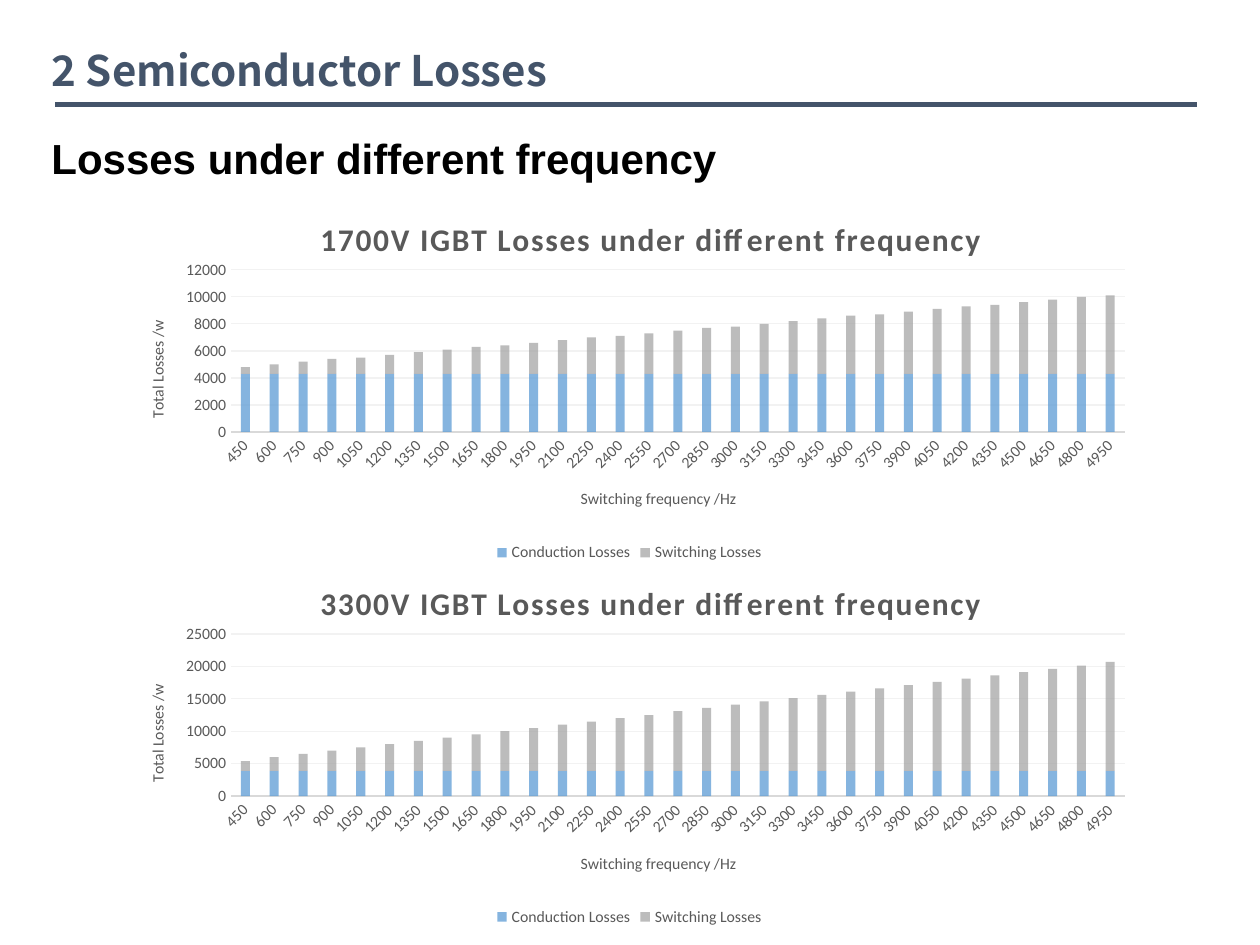
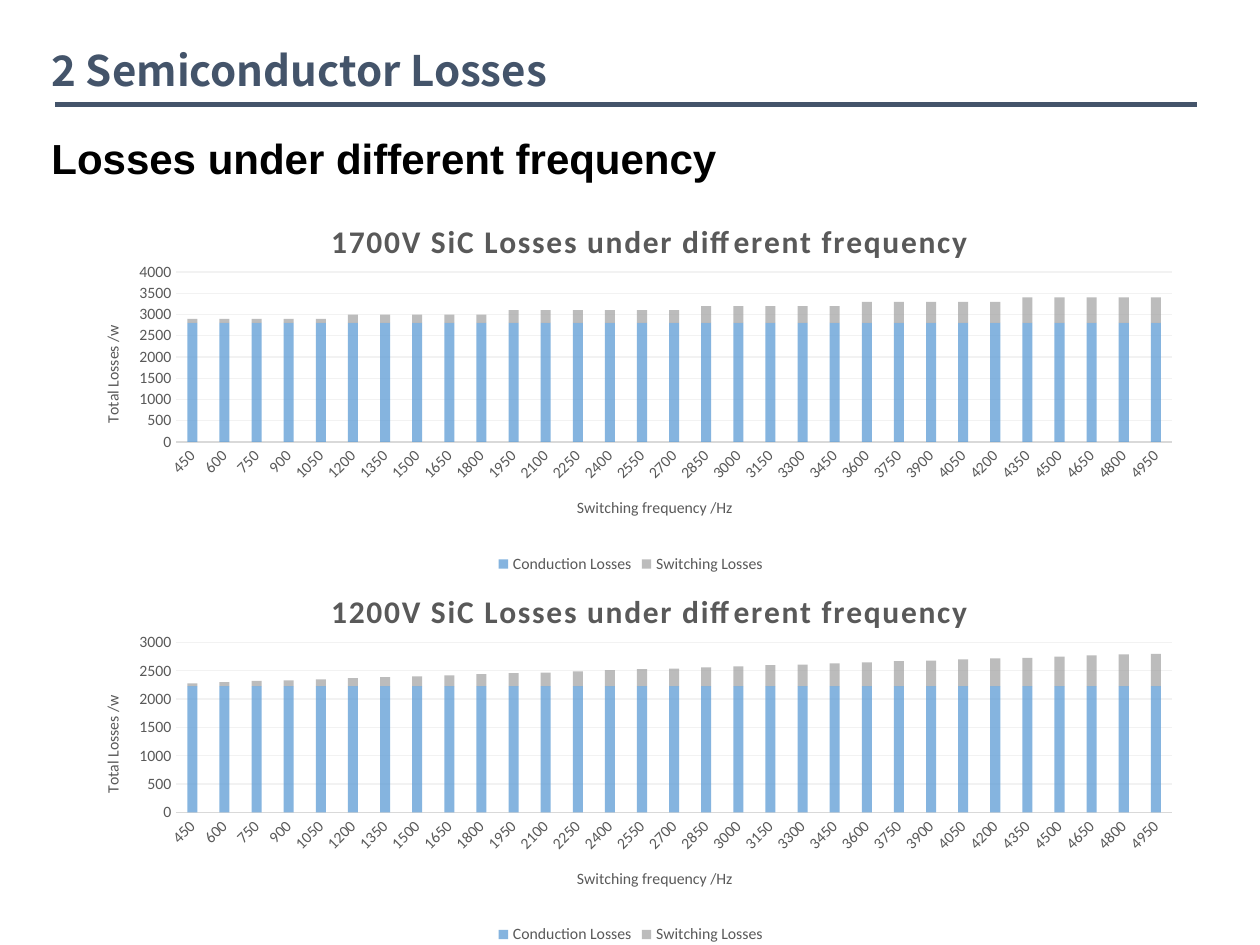
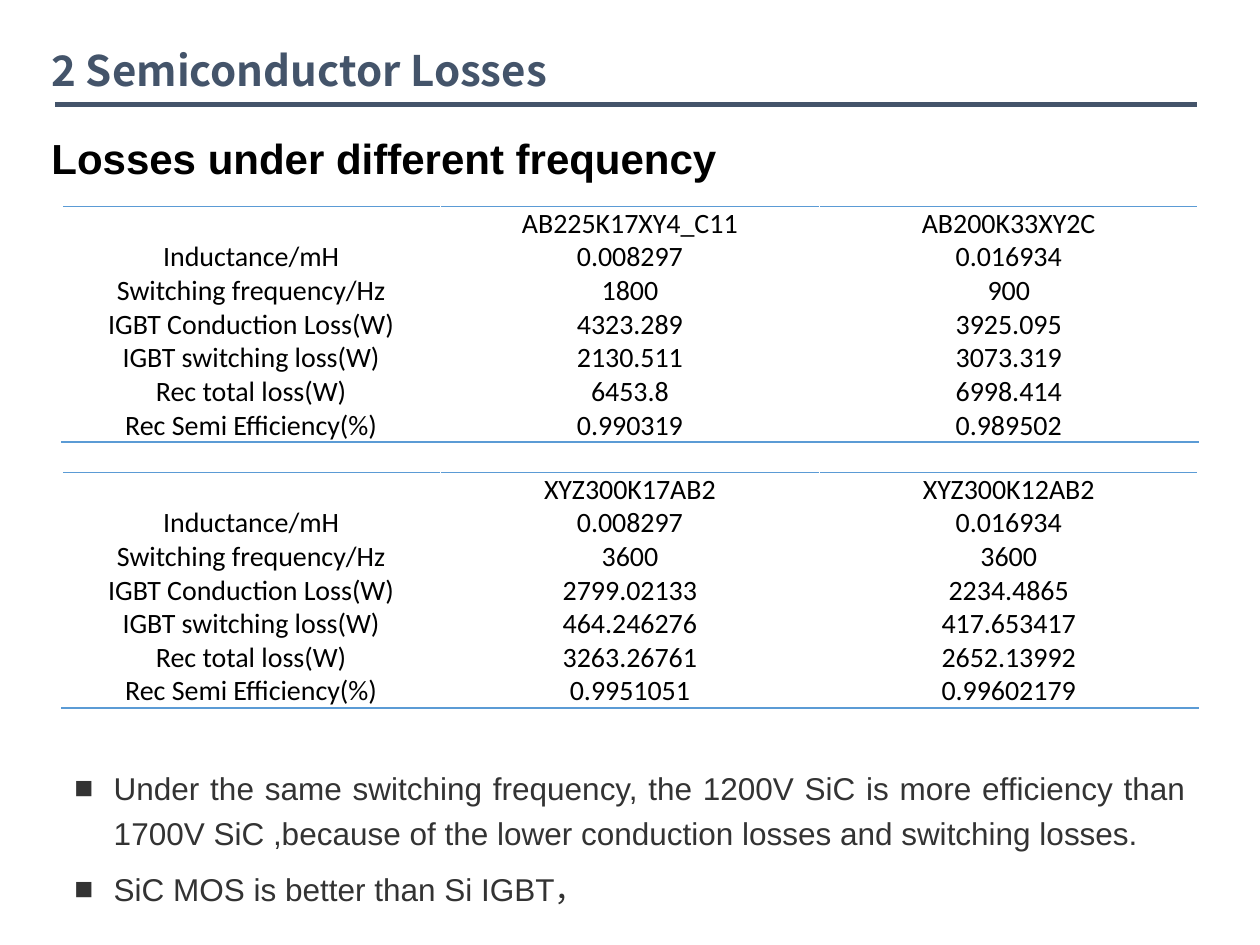
import pptx
import pptx.chart.data
import pptx.dml.color
import pptx.enum.chart
import pptx.enum.shapes
import pptx.enum.text
import pptx.oxml
import pptx.oxml.ns
import pptx.util
from lxml import etree

Pt = pptx.util.Pt
RGBColor = pptx.dml.color.RGBColor
qn = pptx.oxml.ns.qn
ALIGN = pptx.enum.text.PP_ALIGN
ANCHOR = pptx.enum.text.MSO_ANCHOR

NAVY = RGBColor(0x44, 0x54, 0x6A)
BLACK = RGBColor(0, 0, 0)
DARK_GRAY = RGBColor(0x33, 0x33, 0x33)
CHART_TEXT = RGBColor(0x59, 0x59, 0x59)
AXIS_GRAY = RGBColor(0xD9, 0xD9, 0xD9)
GRID_GRAY = RGBColor(0xF2, 0xF2, 0xF2)
BLUE = RGBColor(0x5B, 0x9B, 0xD5)
GRAY = RGBColor(0xA5, 0xA5, 0xA5)

TITLE_FONT = "Noto Sans CJK SC"
TEXT_FONT = "Arial"
DATA_FONT = "Calibri"

TITLE = "2 Semiconductor Losses"
SUBTITLE = "Losses under different frequency"
TITLE_ONLY, TITLE_AND_CONTENT = 5, 1

FREQUENCIES = range(450, 4951, 150)

# Chart title, its left edge as a share of the chart, conduction loss, switching losses
IGBT_CHARTS = [
    ("1700V IGBT Losses under different frequency", 0.195, 4300,
     [500, 700, 900, 1100, 1200, 1400, 1600, 1800, 2000, 2100, 2300,
      2500, 2700, 2800, 3000, 3200, 3400, 3500, 3700, 3900, 4100,
      4300, 4400, 4600, 4800, 5000, 5100, 5300, 5500, 5700, 5800]),
    ("3300V IGBT Losses under different frequency", 0.195, 3900,
     [1500, 2100, 2600, 3100, 3600, 4100, 4600, 5100, 5600, 6100, 6600,
      7100, 7600, 8100, 8600, 9200, 9700, 10200, 10700, 11200, 11700,
      12200, 12700, 13200, 13700, 14200, 14700, 15200, 15700, 16200, 16800]),
]
SIC_CHARTS = [
    ("1700V SiC Losses under different frequency", 0.23, 2800,
     [100] * 5 + [200] * 5 + [300] * 6 + [400] * 5 + [500] * 5 + [600] * 5),
    ("1200V SiC Losses under different frequency", 0.23, 2230,
     [50, 70, 90, 100, 120, 140, 160, 170, 190, 210, 230,
      240, 260, 280, 300, 310, 330, 350, 370, 380, 400,
      420, 440, 450, 470, 490, 500, 520, 540, 560, 570]),
]

ROW_LABELS = ["", "Inductance/mH", "Switching frequency/Hz", "IGBT Conduction Loss(W)",
              "IGBT switching loss(W)", "Rec total loss(W)", "Rec Semi Efficiency(%)"]
IGBT_COLUMNS = [
    ["AB225K17XY4_C11", "0.008297", "1800", "4323.289", "2130.511", "6453.8", "0.990319"],
    ["AB200K33XY2C", "0.016934", "900", "3925.095", "3073.319", "6998.414", "0.989502"],
]
SIC_COLUMNS = [
    ["XYZ300K17AB2", "0.008297", "3600", "2799.02133", "464.246276", "3263.26761", "0.9951051"],
    ["XYZ300K12AB2", "0.016934", "3600", "2234.4865", "417.653417", "2652.13992", "0.99602179"],
]
CONCLUSIONS = [
    "Under the same switching frequency, the 1200V SiC is more efficiency than "
    "1700V SiC ,because of the lower conduction losses and switching losses.",
    "SiC MOS is better than Si IGBT，",
]


def style_font(font, name, size, color, bold=False):
    font.name = name
    font.size = Pt(size)
    font.bold = bold
    font.color.rgb = color


def place(shape, left, top, width, height):
    shape.left, shape.top = Pt(left), Pt(top)
    shape.width, shape.height = Pt(width), Pt(height)


def add_page(deck, layout_index):
    """Add a slide with the shared title, rule and subtitle."""
    page = deck.slides.add_slide(deck.slide_layouts[layout_index])
    rule = page.shapes.add_connector(pptx.enum.shapes.MSO_CONNECTOR.STRAIGHT,
                                     Pt(31.68), Pt(59.76), Pt(684), Pt(59.76))
    rule.line.color.rgb = NAVY
    rule.line.width = Pt(2.7)
    etree.SubElement(rule._element.spPr, qn("a:effectLst"))

    title = page.shapes.title
    place(title, 22.32, 19.44, 649.44, 43.92)
    frame = title.text_frame
    frame.text = TITLE
    frame.auto_size = pptx.enum.text.MSO_AUTO_SIZE.NONE
    frame.vertical_anchor = ANCHOR.MIDDLE
    para = frame.paragraphs[0]
    para.alignment = ALIGN.LEFT
    para.line_spacing = 0.9
    para.space_before = Pt(10)
    style_font(para.font, TITLE_FONT, 24, NAVY, bold=True)

    box = page.shapes.add_textbox(Pt(22.32), Pt(72), Pt(649.44), Pt(36))
    box.text_frame.word_wrap = True
    box.text_frame.text = SUBTITLE
    style_font(box.text_frame.paragraphs[0].font, TEXT_FONT, 24, BLACK, bold=True)
    return page


def set_layout(parent, index, **shares):
    """Fix a chart part's place, given as shares of the chart (x, y, w, h)."""
    for old in parent.findall(qn("c:layout")):
        parent.remove(old)
    layout = etree.Element(qn("c:layout"))
    manual = etree.SubElement(layout, qn("c:manualLayout"))
    if "w" in shares:
        etree.SubElement(manual, qn("c:layoutTarget"), val="inner")
    for key in "xy":
        etree.SubElement(manual, qn(f"c:{key}Mode"), val="edge")
    for key, share in shares.items():
        etree.SubElement(manual, qn(f"c:{key}"), val=str(share))
    parent.insert(index, layout)


def set_chart_title(title, text, size, bold, x, y):
    """Fill and place the title of a chart or of an axis."""
    title.text_frame.text = text
    font = title.text_frame.paragraphs[0].font
    style_font(font, DATA_FONT, size, CHART_TEXT, bold)
    set_layout(title._element, 1, x=x, y=y)
    return font


def rotate_text(element, degrees):
    body = element.find(".//" + qn("a:bodyPr"))
    body.set("rot", str(degrees * 60000))
    body.set("vert", "horz")


def style_axis(axis, text, x, y):
    axis.major_tick_mark = axis.minor_tick_mark = pptx.enum.chart.XL_TICK_MARK.NONE
    style_font(axis.tick_labels.font, DATA_FONT, 9, CHART_TEXT)
    set_chart_title(axis.axis_title, text, 9, False, x, y)


def add_loss_chart(page, area, plot_area, title, title_left, conduction, switching):
    data = pptx.chart.data.CategoryChartData()
    data.categories = [str(frequency) for frequency in FREQUENCIES]
    data.add_series("Conduction Losses", [conduction] * len(FREQUENCIES))
    data.add_series("Switching Losses", switching)
    chart = page.shapes.add_chart(pptx.enum.chart.XL_CHART_TYPE.COLUMN_STACKED,
                                  *map(Pt, area), data).chart
    style_font(chart.font, DATA_FONT, 10, BLACK)
    set_layout(chart._chartSpace.chart.plotArea, 0, **plot_area)
    font = set_chart_title(chart.chart_title, title, 18, True, title_left, 0.06)
    font._element.set("spc", "100")

    plot = chart.plots[0]
    plot.gap_width = 219
    plot.overlap = 100
    plot.vary_by_categories = False
    for series, color in zip(plot.series, (BLUE, GRAY)):
        series.format.fill.solid()
        series.format.fill.fore_color.rgb = color
        rgb = series._element.find(".//" + qn("a:srgbClr"))
        etree.SubElement(rgb, qn("a:alpha"), val="74000")

    frequency_axis, loss_axis = chart.category_axis, chart.value_axis
    style_axis(frequency_axis, "Switching frequency /Hz", 0.45, 0.785)
    rotate_text(frequency_axis._element.find(qn("c:txPr")), -45)
    frequency_axis.format.line.color.rgb = AXIS_GRAY
    frequency_axis.format.line.width = Pt(0.75)
    style_axis(loss_axis, "Total Losses /w", 0.03, 0.34)
    rotate_text(loss_axis.axis_title._element, -90)
    loss_axis.format.line.fill.background()
    loss_axis.major_gridlines.format.line.color.rgb = GRID_GRAY
    loss_axis.major_gridlines.format.line.width = Pt(0.75)

    chart.has_legend = True
    chart.legend.position = pptx.enum.chart.XL_LEGEND_POSITION.BOTTOM
    chart.legend.include_in_layout = False
    style_font(chart.legend.font, DATA_FONT, 9, CHART_TEXT)


def add_chart_page(deck, charts, left, tops, width, height, plot_area):
    page = add_page(deck, TITLE_ONLY)
    for top, chart in zip(tops, charts):
        add_loss_chart(page, (left, top, width, height), plot_area, *chart)


def set_border(cell, side):
    """Draw a cell's border; side is T or B."""
    line = etree.SubElement(cell._tc.get_or_add_tcPr(), qn(f"a:ln{side}"), w=str(Pt(1)))
    fill = etree.SubElement(line, qn("a:solidFill"))
    etree.SubElement(fill, qn("a:srgbClr"), val=str(BLUE))


def add_loss_table(page, top, columns):
    rows = list(zip(ROW_LABELS, *columns))
    table = page.shapes.add_table(len(rows), len(rows[0]), Pt(35.28), Pt(top),
                                  Pt(649.44), Pt(134.64)).table
    table.first_row = table.horz_banding = False
    for row_index, row in enumerate(rows):
        for column_index, text in enumerate(row):
            cell = table.cell(row_index, column_index)
            cell.text = text
            cell.margin_left = cell.margin_right = cell.margin_top = cell.margin_bottom = 0
            cell.vertical_anchor = ANCHOR.MIDDLE
            para = cell.text_frame.paragraphs[0]
            para.alignment = ALIGN.CENTER
            style_font(para.font, DATA_FONT, 16, BLACK)
            if row_index == 0:
                set_border(cell, "T")
            elif row_index == len(rows) - 1:
                set_border(cell, "B")
            cell.fill.background()


def add_conclusions(page):
    body = page.placeholders[1]
    place(body, 35.28, 431.28, 649.44, 89.28)
    frame = body.text_frame
    frame.text = "\n".join(CONCLUSIONS)
    frame.auto_size = pptx.enum.text.MSO_AUTO_SIZE.NONE
    for para in frame.paragraphs:
        properties = para._p.get_or_add_pPr()
        properties.set("marL", str(Pt(22.5)))
        properties.set("indent", str(Pt(-22.5)))
        etree.SubElement(properties, qn("a:buFont"), typeface=TEXT_FONT)
        etree.SubElement(properties, qn("a:buChar"), char="■")
        para.alignment = ALIGN.JUSTIFY
        para.line_spacing = 1.2
        para.space_before = Pt(6)
        style_font(para.font, TEXT_FONT, 18, DARK_GRAY)


def main():
    deck = pptx.Presentation()
    deck.slide_width, deck.slide_height = Pt(720), Pt(540)

    add_chart_page(deck, IGBT_CHARTS, 64.8, (108, 316.08), 589.68, 216,
                   dict(x=0.114, y=0.214, w=0.866, h=0.429))
    add_chart_page(deck, SIC_CHARTS, 37.44, (108.72, 320.4), 645.84, 221.76,
                   dict(x=0.098, y=0.211, w=0.881, h=0.438))

    page = add_page(deck, TITLE_AND_CONTENT)
    add_loss_table(page, 118.08, IGBT_COLUMNS)
    add_loss_table(page, 270, SIC_COLUMNS)
    add_conclusions(page)

    deck.save("out.pptx")


if __name__ == "__main__":
    main()
